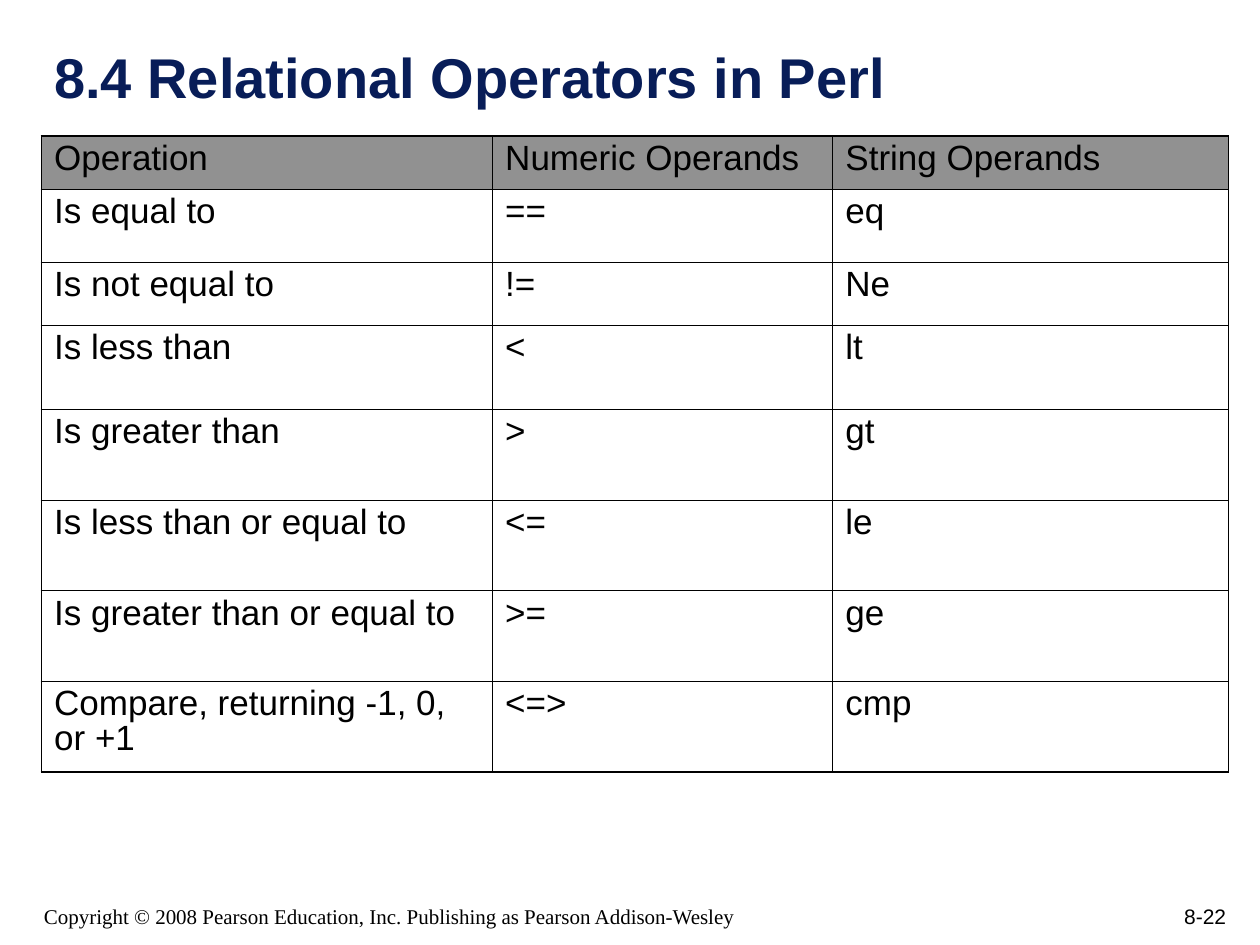
import pptx
import pptx.dml.color
import pptx.enum.text
import pptx.oxml
import pptx.oxml.ns
import pptx.util
from dataclasses import dataclass
from pptx.util import Inches


@dataclass(frozen=True)
class Theme:
    navy: str = "081D58"
    black: str = "000000"
    header_gray: str = "919191"
    sans: str = "Arial"
    serif: str = "Times New Roman"
    title_size: int = 32
    table_size: int = 20
    footer_size: int = 12
    outer_line: float = 1.08
    inner_line: float = 0.45


theme = Theme()


def style_text(paragraph, font_name, size, color, bold=False):
    paragraph.font.name = font_name
    paragraph.font.size = pptx.util.Pt(size)
    paragraph.font.bold = bold
    paragraph.font.color.rgb = pptx.dml.color.RGBColor.from_string(color)


def set_border(cell, position, side, width):
    line = pptx.oxml.parse_xml(
        f'<a:ln{side} {pptx.oxml.ns.nsdecls("a")} w="{pptx.util.Pt(width)}">'
        f'<a:solidFill><a:srgbClr val="{theme.black}"/></a:solidFill></a:ln{side}>'
    )
    cell._tc.get_or_add_tcPr().insert(position, line)


presentation = pptx.Presentation()
presentation.slide_width = Inches(10)
presentation.slide_height = Inches(7.5)
slide = presentation.slides.add_slide(presentation.slide_layouts[5])

title = slide.shapes.title
title.left, title.top = Inches(0.33), Inches(0.33)
title.width, title.height = Inches(9.42), Inches(0.59)
title.text_frame.text = "8.4 Relational Operators in Perl"
title.text_frame.auto_size = pptx.enum.text.MSO_AUTO_SIZE.NONE
title.text_frame.vertical_anchor = pptx.enum.text.MSO_ANCHOR.BOTTOM
title_paragraph = title.text_frame.paragraphs[0]
title_paragraph.alignment = pptx.enum.text.PP_ALIGN.LEFT
style_text(title_paragraph, theme.sans, theme.title_size, theme.navy, bold=True)

operators = [
    ("Operation", "Numeric Operands", "String Operands"),
    ("Is equal to", "==", "eq"),
    ("Is not equal to", "!=", "Ne"),
    ("Is less than", "<", "lt"),
    ("Is greater than", ">", "gt"),
    ("Is less than or equal to", "<=", "le"),
    ("Is greater than or equal to", ">=", "ge"),
    ("Compare, returning -1, 0, or +1", "<=>", "cmp"),
]
column_widths = [3.58, 2.7, 3.14]
row_heights = [0.42, 0.58, 0.5, 0.67] + [0.72] * 4
last_row = len(row_heights) - 1
last_column = len(column_widths) - 1

table = slide.shapes.add_table(
    len(row_heights), len(column_widths),
    Inches(0.33), Inches(1.08), Inches(sum(column_widths)), Inches(sum(row_heights)),
).table
table.first_row = False
table.horz_banding = False
for column, width in zip(table.columns, column_widths):
    column.width = Inches(width)
for row, height in zip(table.rows, row_heights):
    row.height = Inches(height)

for row_index, labels in enumerate(operators):
    for column_index, label in enumerate(labels):
        cell = table.cell(row_index, column_index)
        cell.text = label
        paragraph = cell.text_frame.paragraphs[0]
        paragraph.line_spacing = 0.9
        style_text(paragraph, theme.sans, theme.table_size, theme.black)
        if row_index == 0:
            cell.fill.solid()
            cell.fill.fore_color.rgb = pptx.dml.color.RGBColor.from_string(theme.header_gray)
        else:
            cell.fill.background()
        outer_sides = {
            "L": column_index == 0,
            "R": column_index == last_column,
            "T": row_index == 0,
            "B": row_index == last_row,
        }
        for position, (side, is_outer) in enumerate(outer_sides.items()):
            set_border(cell, position, side, theme.outer_line if is_outer else theme.inner_line)

footers = [
    ("Copyright © 2008 Pearson Education, Inc. Publishing as Pearson Addison-Wesley",
     0.25, 7, 6.08, 0.42, theme.serif, pptx.enum.text.PP_ALIGN.LEFT),
    ("8-22", 7.75, 6.92, 2.08, 0.5, theme.sans, pptx.enum.text.PP_ALIGN.RIGHT),
]
for text, left, top, width, height, font_name, alignment in footers:
    footer = slide.shapes.add_textbox(Inches(left), Inches(top), Inches(width), Inches(height))
    footer.text_frame.word_wrap = True
    footer.text_frame.vertical_anchor = pptx.enum.text.MSO_ANCHOR.BOTTOM
    footer.text_frame.text = text
    paragraph = footer.text_frame.paragraphs[0]
    paragraph.alignment = alignment
    style_text(paragraph, font_name, theme.footer_size, theme.black)

presentation.save("out.pptx")
